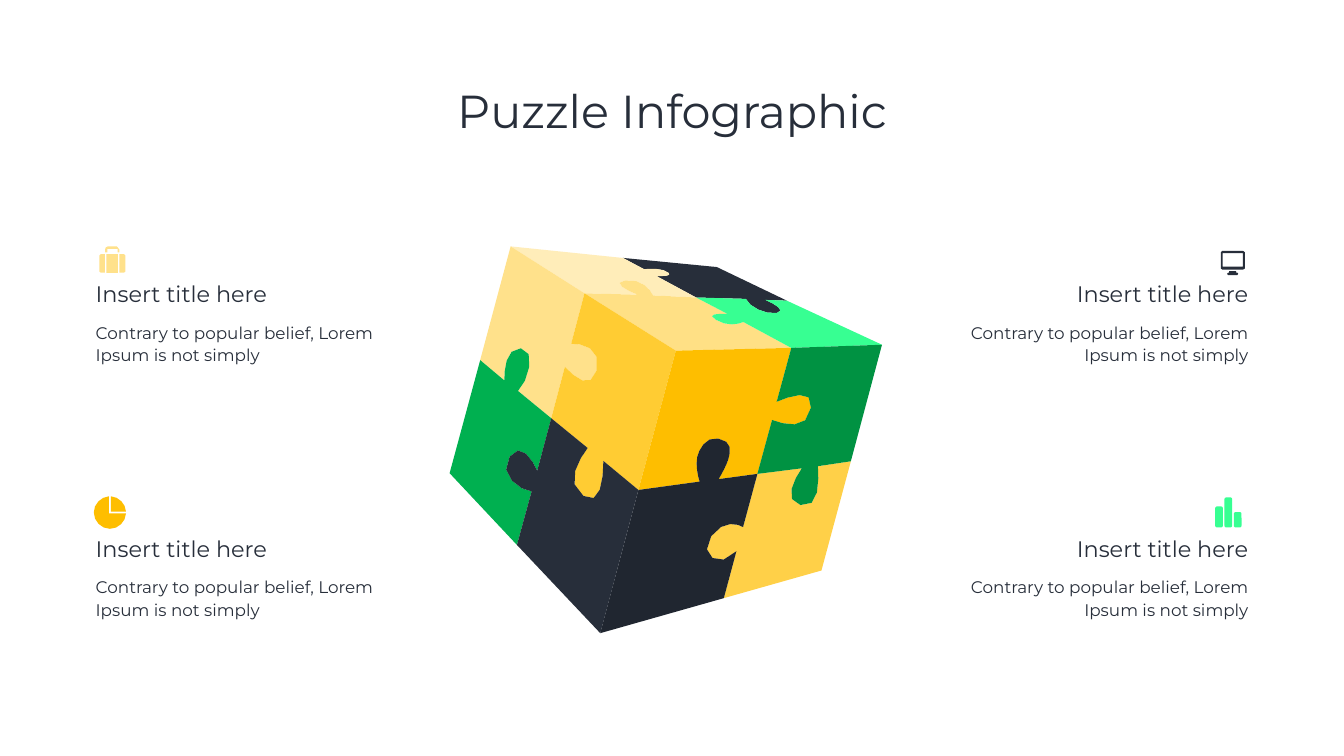
"""Build the Puzzle Infographic slide: a cube of jigsaw pieces with four captions."""
import math
from dataclasses import dataclass

import pptx
import pptx.dml.color
import pptx.enum.shapes
import pptx.enum.text
import pptx.util

Pt = pptx.util.Pt
ALIGN = pptx.enum.text.PP_ALIGN
SHAPE = pptx.enum.shapes.MSO_SHAPE
Point = tuple[float, float]
Segment = tuple[float, ...]

FONT = "Montserrat"
DARK, SAND, AMBER, MINT = "272E3A", "FFE18B", "FEBE00", "37FF92"
TILT = 15
MAX_STEPS, STEP_LENGTH = 4, 6


@dataclass
class Piece:
    corners: str
    color: str


@dataclass
class Caption:
    edge: float
    top: float
    align: ALIGN


@dataclass
class Block:
    kind: SHAPE
    box: tuple[float, float, float, float]
    corner: float = 0


@dataclass
class Icon:
    color: str
    outlines: list[list[list[Segment]]]
    blocks: list[Block]


NODES = {
    "A": (729.5, 352), "B": (890, 368.5), "C": (1024, 381.5), "D": (1124, 429.5),
    "E": (1260, 492.5), "F": (1130.5, 497), "G": (965.5, 501), "H": (835, 419),
    "I": (994.5, 425), "J": (686, 514.5), "K": (642.3, 676), "L": (738.5, 778.5),
    "M": (857.5, 904.5), "N": (912, 700), "O": (787.5, 597.5), "P": (1082, 677),
    "Q": (1034, 854.5), "R": (1173.5, 815), "S": (1215.5, 659),
}

TABS: dict[str, list[Segment]] = {
    "BI": [(920, 384.5), (927.5, 384, 947.5, 382.5, 955.5, 390),
           (960, 394.5, 947.5, 394.5, 938, 394.5)],
    "ID": [(1065.5, 427), (1070, 438, 1093.5, 450, 1110, 447),
           (1124, 444, 1106, 434, 1093.5, 428.5)],
    "HI": [(911, 421), (896.5, 415.5, 872, 403, 893.5, 400.5),
           (917.5, 398, 929, 414, 933, 422)],
    "IF": [(1039.5, 448.5), (1026.5, 448, 1007.5, 448, 1023, 457),
           (1039, 466.5, 1053.5, 463.5, 1062, 460)],
    "HO": [(816, 491), (831, 491, 860.5, 495.5, 852, 530),
           (844, 558, 821, 539.5, 807, 524)],
    "JO": [(720.5, 543.5), (720.5, 530, 721.5, 497, 744, 497.5),
           (767.5, 499, 754, 546, 740, 558.5)],
    "ON": [(839.5, 640), (828.5, 654.5, 805, 690, 833.5, 708.5),
           (857.5, 725, 862, 685.5, 862, 658.5)],
    "OL": [(767.5, 672.5), (761, 658, 744, 628.5, 728, 652.5),
           (710, 677.5, 744, 701.5, 759.5, 702)],
    "NP": [(999.5, 688), (997, 681, 993.5, 664.5, 996, 653),
           (998, 643.5, 1007.5, 623, 1026, 626.5),
           (1047, 630.5, 1043.5, 644.5, 1040.5, 656),
           (1038, 664.5, 1030, 679, 1026.5, 684.5)],
    "FP": [(1109.5, 574), (1127, 566.5, 1163, 553, 1158.5, 582.5),
           (1154, 616.5, 1119.5, 606, 1103, 600)],
    "PS": [(1145.5, 669), (1134.5, 684.5, 1118, 715.5, 1143.5, 721.5),
           (1172, 728, 1169.5, 685.5, 1168.5, 666)],
    "PQ": [(1061.5, 753), (1055, 749, 1034.5, 741, 1016, 766),
           (996, 793.5, 1029, 814.5, 1052, 787.5)],
}

PIECES = [
    Piece("BCDI", DARK), Piece("ABIH", "FFEDB9"), Piece("AHOJ", SAND),
    Piece("HIFG", "FFE085"), Piece("HGNO", "FFCC33"), Piece("GFPN", AMBER),
    Piece("PSRQ", "FFD048"), Piece("IDEF", MINT), Piece("FESP", "009242"),
    Piece("JOLK", "00B050"), Piece("NPQM", "202630"), Piece("ONML", DARK),
]

CAPTIONS = [Caption(edge, top, align) for top in (397.2, 761.1)
            for edge, align in ((129.6, ALIGN.LEFT), (1790.4, ALIGN.RIGHT))]

ICONS = [
    Icon(SAND, [
        [[(153.5, 355.5), (168, 355.5), (168, 360.5), (170.5, 360.5), (170.5, 356.5),
          (170.5, 354, 169, 352, 167, 352), (154, 352),
          (152, 352, 150, 354, 150, 356.5), (150, 360.5), (153.5, 360.5)]],
        [[(170.5, 363), (177, 363), (178, 363, 179, 364, 179, 365), (179, 388),
          (179, 389, 178, 389.5, 177, 389.5), (170.5, 389.5)]],
        [[(150, 363), (144, 363), (142.5, 363, 142, 364, 142, 365), (142, 388),
          (142, 389, 142.5, 389.5, 144, 389.5), (150, 389.5)]],
    ], [Block(SHAPE.RECTANGLE, (152, 363, 16.5, 27))]),
    Icon(DARK, [
        [[(1776, 358.5), (1746, 358.5), (1744.5, 358.5, 1744, 359.5, 1744, 360.5),
          (1744, 383.5), (1744, 384.5, 1744.5, 385, 1746, 385), (1776, 385),
          (1777.5, 385, 1778.5, 384.5, 1778.5, 383.5), (1778.5, 360.5)],
         [(1775.5, 381), (1746.5, 381), (1746.5, 361.5), (1775.5, 361.5)]],
        [[(1767.5, 389.5), (1766, 389.5), (1766, 387.5), (1756, 387.5), (1756, 389.5),
          (1754.5, 389.5), (1753, 391.3), (1754.5, 393), (1767.5, 393), (1769, 391.3)]],
    ], []),
    Icon(AMBER, [
        [[(155.5, 709), (144, 710, 134, 720, 134, 732),
          (134, 744.5, 144.5, 755.5, 157, 755.5),
          (169, 755.5, 179.5, 745.5, 180, 733.5), (155.5, 733.5)]],
        [[(158.5, 709), (158.5, 731), (180, 731), (179.5, 719.5, 170, 710, 158.5, 709)]],
    ], []),
    Icon(MINT, [], [Block(SHAPE.ROUNDED_RECTANGLE, (1736 + 13.3 * i, 753.5 - h, 11, h), 0.24)
                    for i, h in enumerate((30, 43, 22))]),
]


def rgb(color: str) -> pptx.dml.color.RGBColor:
    return pptx.dml.color.RGBColor.from_string(color)


def paint(sp, color: str) -> None:
    sp.fill.solid()
    sp.fill.fore_color.rgb = rgb(color)
    sp.line.fill.background()
    sp.shadow.inherit = False


def flatten(segments: list[Segment]) -> list[Point]:
    points = [segments[0]]
    for seg in segments[1:]:
        if len(seg) == 2:
            points.append(seg)
            continue
        knots = [points[-1], seg[:2], seg[2:4], seg[4:]]
        steps = min(MAX_STEPS, math.ceil(math.dist(knots[0], knots[3]) / STEP_LENGTH))
        for step in range(1, steps + 1):
            t = step / steps
            weights = [math.comb(3, k) * t**k * (1 - t)**(3 - k) for k in range(4)]
            points.append(tuple(sum(w * k[axis] for w, k in zip(weights, knots))
                                for axis in (0, 1)))
    return points


def rotate(point: Point, degrees: float) -> Point:
    x, y = point
    cos, sin = math.cos(math.radians(degrees)), math.sin(math.radians(degrees))
    return x * cos - y * sin, x * sin + y * cos


def draw_outline(shapes, contours: list[list[Point]], color: str) -> None:
    first, *others = [[(Pt(x), Pt(y)) for x, y in c] for c in contours]
    builder = shapes.build_freeform(*first[0], scale=1.0)
    builder.add_line_segments(first[1:], close=True)
    for contour in others:
        builder.move_to(*contour[0])
        builder.add_line_segments(contour[1:], close=True)
    paint(builder.convert_to_shape(), color)


def side(start: str, end: str) -> list[Point]:
    if end + start in TABS:
        return side(end, start)[::-1]
    return flatten([NODES[start], *TABS.get(start + end, []), NODES[end]])


def draw_cube(s) -> None:
    group = s.shapes.add_group_shape()
    for piece in PIECES:
        ends = piece.corners[1:] + piece.corners[0]
        points = [p for a, b in zip(piece.corners, ends) for p in side(a, b)[:-1]]
        draw_outline(group.shapes, [[rotate(p, -TILT) for p in points]], piece.color)
    x, y = rotate((group.left + group.width / 2, group.top + group.height / 2), TILT)
    group.left, group.top = round(x - group.width / 2), round(y - group.height / 2)
    group.rotation = TILT


def draw_icon(s, icon: Icon) -> None:
    shapes = s.shapes.add_group_shape().shapes
    for outline in icon.outlines:
        draw_outline(shapes, [flatten(contour) for contour in outline], icon.color)
    for block in icon.blocks:
        sp = shapes.add_shape(block.kind, *map(Pt, block.box))
        if block.corner:
            sp.adjustments[0] = block.corner
        paint(sp, icon.color)


def write(sp, text: str, size: float, align: ALIGN, spacing: float) -> None:
    tf = sp.text_frame
    tf.text = text
    p = tf.paragraphs[0]
    p.alignment, p.line_spacing = align, spacing
    r = p.runs[0]
    r.font.name, r.font.size, r.font.color.rgb = FONT, Pt(size), rgb(DARK)


def draw_caption(s, caption: Caption) -> None:
    for text, size, spacing, drop, width, height, wrap in (
            ("Insert title here", 32, 1.0, 0, 261.5, 46, False),
            ("Contrary to popular belief, Lorem Ipsum is not simply",
             24, 1.1, 57, 441.5, 70, True)):
        left = caption.edge - (width if caption.align == ALIGN.RIGHT else 0)
        sp = s.shapes.add_textbox(Pt(left), Pt(caption.top + drop), Pt(width), Pt(height))
        sp.text_frame.word_wrap = wrap
        sp.text_frame.auto_size = pptx.enum.text.MSO_AUTO_SIZE.SHAPE_TO_FIT_TEXT
        write(sp, text, size, caption.align, spacing)


def main() -> None:
    prs = pptx.Presentation()
    prs.slide_width, prs.slide_height = Pt(1920), Pt(1080)
    s = prs.slides.add_slide(prs.slide_layouts[5])
    title = s.shapes.title
    title.left, title.top, title.width, title.height = map(Pt, (132, 57.5, 1656, 209))
    title.text_frame.vertical_anchor = pptx.enum.text.MSO_ANCHOR.MIDDLE
    title.text_frame.auto_size = pptx.enum.text.MSO_AUTO_SIZE.NONE
    write(title, "Puzzle Infographic", 66, ALIGN.CENTER, 0.9)
    draw_cube(s)
    for caption in CAPTIONS:
        draw_caption(s, caption)
    for icon in ICONS:
        draw_icon(s, icon)
    prs.save("out.pptx")


if __name__ == "__main__":
    main()
